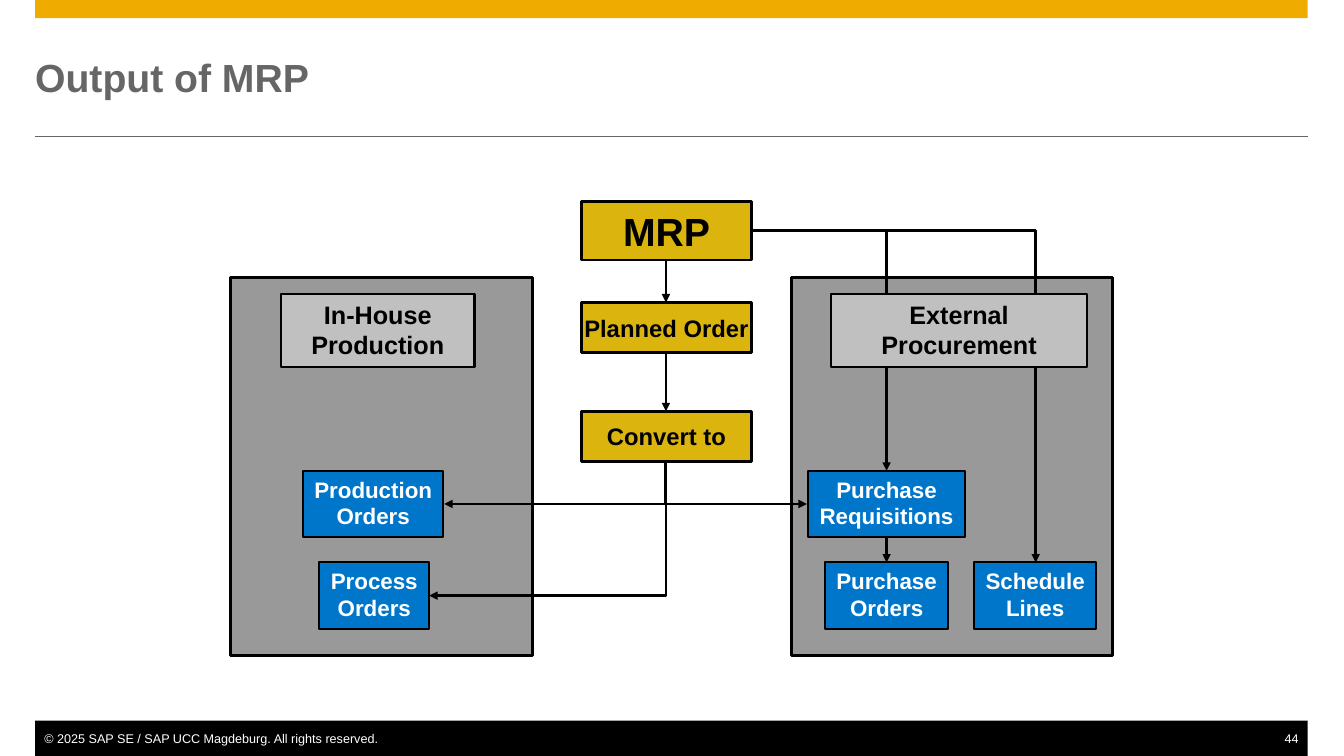
from dataclasses import dataclass

from lxml import etree
from pptx import Presentation
from pptx.dml.color import RGBColor
from pptx.enum.shapes import MSO_CONNECTOR, MSO_SHAPE
from pptx.enum.text import MSO_ANCHOR, PP_ALIGN
from pptx.oxml.ns import qn
from pptx.util import Pt

RECT = MSO_SHAPE.RECTANGLE
STRAIGHT, ELBOW = MSO_CONNECTOR.STRAIGHT, MSO_CONNECTOR.ELBOW
LEFT, CENTER, RIGHT = PP_ALIGN.LEFT, PP_ALIGN.CENTER, PP_ALIGN.RIGHT
TOP, MIDDLE = MSO_ANCHOR.TOP, MSO_ANCHOR.MIDDLE
EMU_PER_PX = 9144  # 100 px to the inch


@dataclass(frozen=True)
class Theme:
    font: str = "Arial"
    black: str = "000000"
    white: str = "FFFFFF"
    grey: str = "666666"
    accent: str = "F0AB00"
    step: str = "DBB40D"
    area: str = "999999"
    heading: str = "C0C0C0"
    document: str = "0076CB"
    title_size: int = 28
    heading_size: int = 18
    step_size: int = 17
    document_size: int = 16
    footer_size: int = 9
    thick: float = 2
    medium: float = 1.5
    thin: float = 0.5


THEME = Theme()


def px(length):
    return length * EMU_PER_PX


def rgb(value):
    return RGBColor.from_string(value)


def write(shape, text, *, size, color=THEME.black, bold=True, align=CENTER,
          anchor=MIDDLE, wrap=False, insets=(10, 5, 10, 5)):
    frame = shape.text_frame
    frame.word_wrap = wrap
    frame.vertical_anchor = anchor
    (frame.margin_left, frame.margin_top,
     frame.margin_right, frame.margin_bottom) = map(px, insets)
    frame.text = text
    for paragraph in frame.paragraphs:
        paragraph.alignment = align
        font = paragraph.font
        font.name, font.size, font.bold = THEME.font, Pt(size), bold
        font.color.rgb = rgb(color)


def label(slide, box, text, **text_format):
    write(slide.shapes.add_textbox(*map(px, box)), text, **text_format)


def block(slide, box, fill, line_width=None, text=None, **text_format):
    rect = slide.shapes.add_shape(RECT, *map(px, box))
    rect.shadow.inherit = False
    rect.fill.solid()
    rect.fill.fore_color.rgb = rgb(fill)
    if line_width:
        rect.line.color.rgb = rgb(THEME.black)
        rect.line.width = Pt(line_width)
    else:
        rect.line.fill.background()
    if text:
        write(rect, text, **text_format)


def link(slide, start, end, color=THEME.black, width=THEME.thick,
         arrow=None, bent=False):
    """Draw a line; a bent one runs level from start, then upright to end."""
    connector = slide.shapes.add_connector(
        ELBOW if bent else STRAIGHT, *map(px, start + end))
    connector.line.color.rgb = rgb(color)
    connector.line.width = Pt(width)
    properties = connector._element.spPr
    if bent:
        properties.find(qn("a:prstGeom")).set("prst", "bentConnector2")
    if arrow:
        etree.SubElement(properties.find(qn("a:ln")), qn(f"a:{arrow}"),
                         type="triangle")
    etree.SubElement(properties, qn("a:effectLst"))


def frame_slide(slide):
    left, width = 35, 1263
    block(slide, (left, 0, width, 18), THEME.accent)
    link(slide, (left, 135), (left + width, 135), THEME.grey, THEME.thin)
    block(slide, (left, 715, width, 35), THEME.black)
    footer = dict(size=THEME.footer_size, color=THEME.white, bold=False,
                  anchor=TOP)
    label(slide, (left, 725, 345, 15),
          "© 2025 SAP SE / SAP UCC Magdeburg. All rights reserved.",
          align=LEFT, insets=(9, 0, 0, 0), **footer)
    label(slide, (1273, 725, 25, 15), "44",
          align=RIGHT, insets=(0, 0, 9, 0), **footer)
    label(slide, (left, 35, width, 83), "Output of MRP",
          size=THEME.title_size, color=THEME.grey, align=LEFT, wrap=True,
          insets=(0, 0, 0, 0))


def area_heading(slide, left, width, text):
    block(slide, (left, 292, width, 72), THEME.heading, THEME.medium, text,
          size=THEME.heading_size, anchor=TOP, wrap=True)


def main():
    presentation = Presentation()
    presentation.slide_width, presentation.slide_height = px(1334), px(750)
    slide = presentation.slides.add_slide(presentation.slide_layouts[6])
    frame_slide(slide)

    # Procurement areas
    for left, width in ((229, 300), (786, 318)):
        block(slide, (left, 275, width, 375), THEME.area, THEME.thick)
    area_heading(slide, 279, 192, "In-House\nProduction")

    # Planning steps
    for top, height, text, size in (
            (200, 58, "MRP", THEME.title_size),
            (300, 50, "Planned Order", THEME.step_size),
            (408, 50, "Convert to", THEME.step_size)):
        block(slide, (577, top, 169, height), THEME.step, THEME.thick, text,
              size=size)

    # Resulting documents
    upper, lower = 467, 558
    for left, top, width, text in (
            (301, upper, 139, "Production\nOrders"),
            (317, lower, 109, "Process\nOrders"),
            (802, upper, 156, "Purchase\nRequisitions"),
            (819, lower, 122, "Purchase\nOrders"),
            (967, lower, 121, "Schedule\nLines")):
        block(slide, (left, top, width, 66), THEME.document, THEME.medium,
              text, size=THEME.document_size, color=THEME.white, anchor=TOP)

    # Straight flow
    trunk, requisitions, schedule = 661, 880, 1028
    for x, top, bottom in ((trunk, 258, 300), (trunk, 350, 408),
                           (requisitions, 533, 558)):
        link(slide, (x, top), (x, bottom), arrow="tailEnd")

    # MRP to external documents
    for end in ((requisitions, upper), (schedule, lower)):
        link(slide, (746, 229), end, arrow="tailEnd", bent=True)

    # Conversion, drawn from each document back to the trunk
    for start in ((441, 500), (426, 591), (801, 500)):
        link(slide, start, (trunk, 458), arrow="headEnd", bent=True)

    # Heading that covers the external flow
    area_heading(slide, 825, 254, "External\nProcurement")

    presentation.save("out.pptx")


if __name__ == "__main__":
    main()
